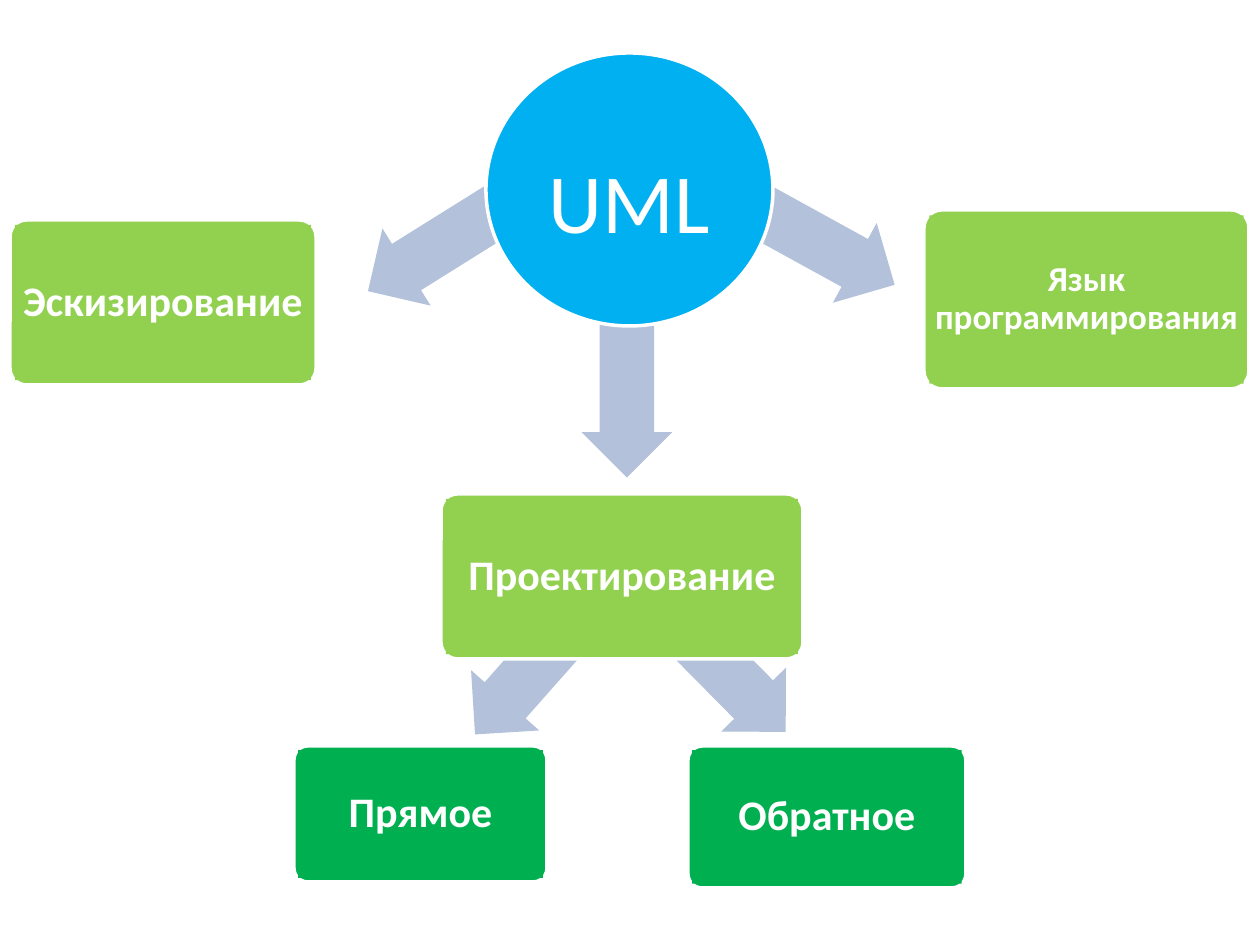
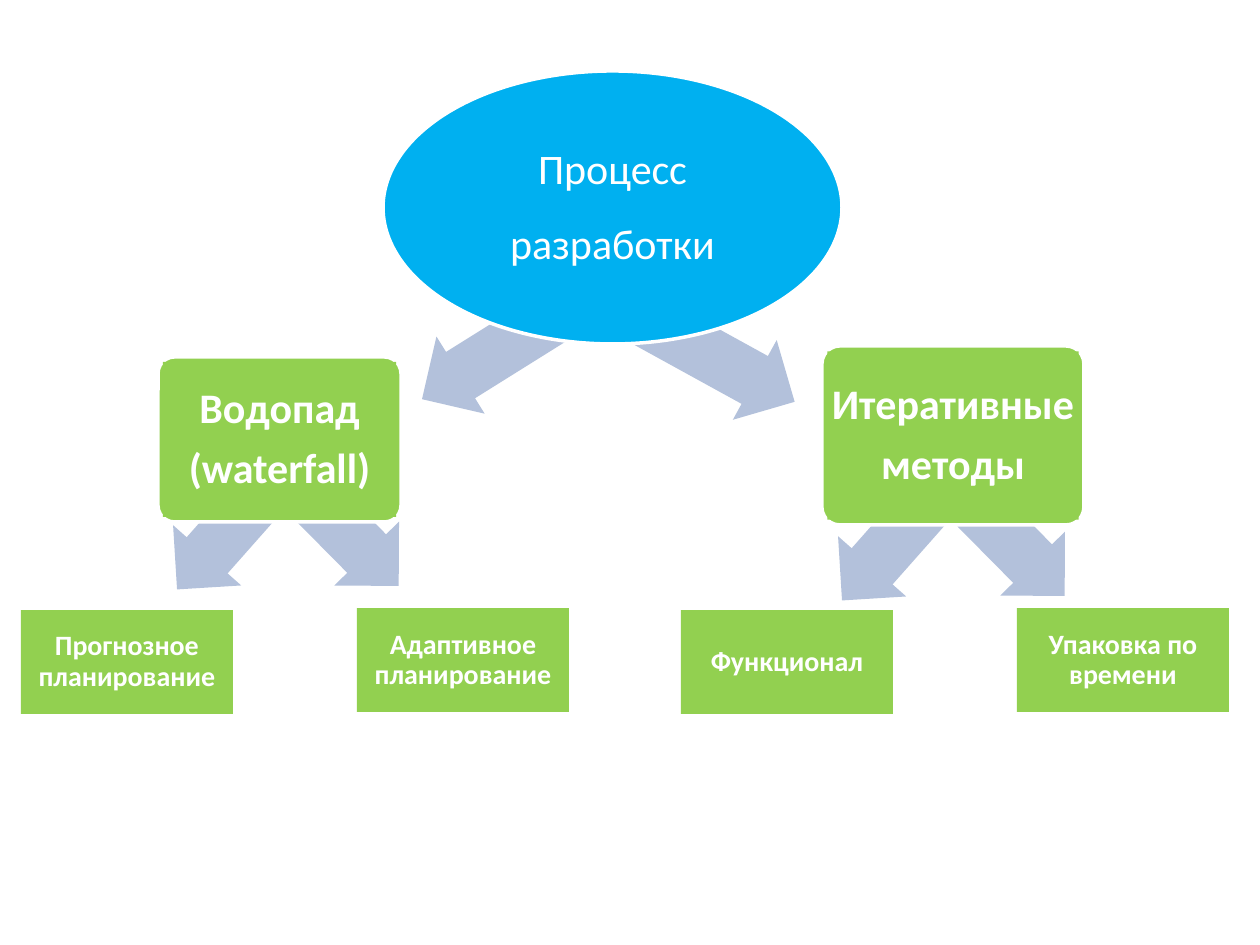
from pptx import Presentation
from pptx import util as u
from pptx.dml.color import RGBColor
from pptx.enum import shapes, text

PX = 914400 / 126  # EMU in one pixel
COLORS = {"root": "00B0F0", "branch": "92D050", "leaf": "00B050",
          "arrow": "B3C1DB", "white": "FFFFFF"}
FONT = "Calibri"
FORM = shapes.MSO_SHAPE
ARROW_SIZE = (184, 91)
WIDE = (328, 208.8)     # turns of a flat pair of arrows: left, right
STEEP = (311.5, 225.3)  # turns of a steep pair
DOWN = 270


def px(value):
    return u.Emu(round(value * PX))


def color(name):
    return RGBColor.from_string(COLORS[name])


def add_form(parent, form, box, fill, outlined=False):
    shape = parent.shapes.add_shape(form, *map(px, box))
    shape.shadow.inherit = False
    shape.fill.solid()
    shape.fill.fore_color.rgb = color(fill)
    if outlined:
        shape.line.color.rgb = color("white")
        shape.line.width = u.Pt(2)
    else:
        shape.line.fill.background()
    return shape


def write(shape, lines, size, bold, spacing, after=0.0):
    frame = shape.text_frame
    frame.word_wrap = True
    for i, line in enumerate(lines):
        paragraph = frame.paragraphs[0] if i == 0 else frame.add_paragraph()
        paragraph.alignment = text.PP_ALIGN.CENTER
        paragraph.line_spacing = spacing
        paragraph.space_after = u.Pt(after * size)
        run = paragraph.add_run()
        run.text = line
        run.font.name = FONT
        run.font.size = u.Pt(size)
        run.font.bold = bold
        run.font.color.rgb = color("white")


def add_arrow(slide, left, top, turn):
    arrow = add_form(slide, FORM.LEFT_ARROW, (left, top, *ARROW_SIZE), "arrow")
    arrow.adjustments[0] = 0.6
    arrow.adjustments[1] = 0.5
    arrow.rotation = turn


def add_fork(slide, left, top, gap, turns, drop=0):
    """Two arrows that part to the left and to the right."""
    for i, turn in enumerate(turns):
        add_arrow(slide, left + i * gap, top + i * drop, turn)


def add_root(slide, box, title, size):
    root = add_form(slide, FORM.OVAL, box, "root", outlined=True)
    root.text_frame.vertical_anchor = text.MSO_ANCHOR.TOP
    write(root, [title], size, False, 1.5)


def add_label(parent, box, lines, size, fill):
    label = add_form(parent, FORM.RECTANGLE, box, fill)
    frame = label.text_frame
    frame.margin_left = frame.margin_right = px(4)
    frame.margin_top = frame.margin_bottom = px(4)
    frame.vertical_anchor = text.MSO_ANCHOR.MIDDLE
    write(label, lines, size, True, 0.9, 0.35)


def add_card(slide, box, lines, size=24, fill="branch"):
    """A rounded card with its label inset by the corner."""
    left, top, width, height = box
    group = slide.shapes.add_group_shape()
    card = add_form(group, FORM.ROUNDED_RECTANGLE, box, fill, outlined=True)
    card.adjustments[0] = 0.1
    inset = 0.03 * height
    add_label(group, (left + inset, top + inset,
                      width - 2 * inset, height - 2 * inset), lines, size, fill)


def add_uml_uses(slide, left, top):
    # Arrows lie behind the cards
    add_fork(slide, left + 354, top + 197, 368, WIDE, -2)
    add_arrow(slide, left + 535, top + 340, DOWN)
    add_fork(slide, left + 444, top + 620, 185, STEEP, 1)
    # Language and its three uses
    add_card(slide, (left + 10, top + 220, 306, 165), ["Эскизирование"])
    add_card(slide, (left + 924, top + 210, 325, 179),
             ["Язык программирования"], size=20)
    add_root(slide, (left + 486, top + 53, 287, 273), "UML", 48)
    add_card(slide, (left + 441, top + 494, 362, 165), ["Проектирование"])
    # Two kinds of design
    add_card(slide, (left + 294, top + 746, 253, 136), ["Прямое"], fill="leaf")
    add_card(slide, (left + 688, top + 746, 278, 142), ["Обратное"], fill="leaf")


def add_process_tree(slide, left, top):
    # Arrows lie behind the cards
    add_fork(slide, left + 811, top + 486, 97, STEEP, -1)
    add_fork(slide, left + 146, top + 475, 96, STEEP)
    add_fork(slide, left + 408, top + 305, 214, WIDE, 7)
    # Process and its two models
    add_card(slide, (left + 158, top + 357, 243, 165), ["Водопад", "(waterfall)"])
    add_card(slide, (left + 822, top + 346, 262, 179), ["Итеративные", "методы"])
    add_root(slide, (left + 383, top + 71, 459, 273), "Процесс разработки", 24)
    # Two practices under each model
    practices = [(21, ["Прогнозное планирование", "Адаптивное планирование"]),
                 (681, ["Функционал", "Упаковка по времени"])]
    for start, names in practices:
        for i, name in enumerate(names):
            add_label(slide, (left + start + 336 * i, top + 610 - 2 * i, 212, 104),
                      [name], 16, "branch")


deck = Presentation()
deck.slide_width = px(1260)
deck.slide_height = px(945)
blank = deck.slide_layouts[6]
for build in (add_uml_uses, add_process_tree):
    build(deck.slides.add_slide(blank), 0, 0)
deck.save("out.pptx")
